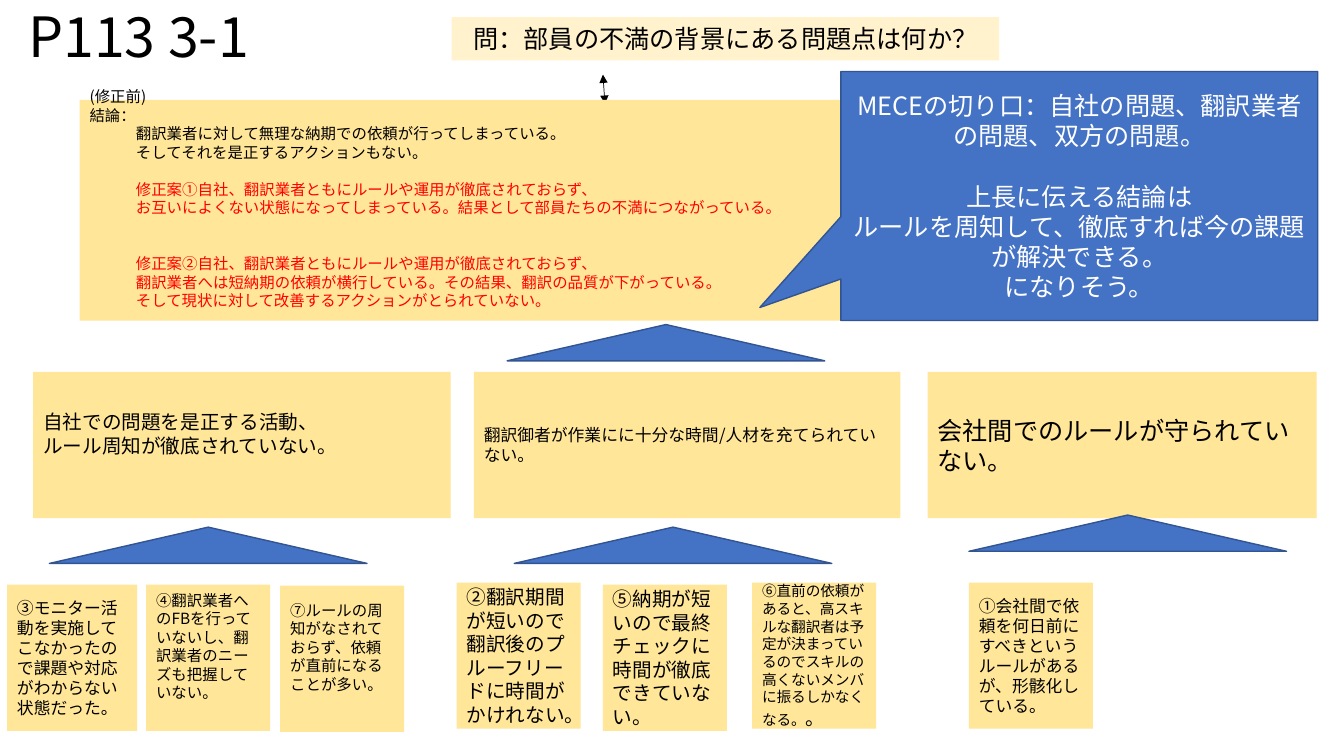
from dataclasses import dataclass

from lxml import etree
from pptx import Presentation
from pptx import util as u
from pptx.dml import color
from pptx.enum import shapes, text
from pptx.oxml import ns


@dataclass(frozen=True)
class Theme:
    font: str = "Noto Sans CJK JP"
    ink: str = "000000"
    white: str = "FFFFFF"
    alert: str = "FF0000"
    question: str = "FFF2CC"
    box: str = "FFE699"
    accent: str = "4472C4"
    outline: str = "325491"
    title: float = 39.6
    large: float = 18
    medium: float = 14
    body: float = 12
    small: float = 11
    tiny: float = 10.5


@dataclass(frozen=True)
class Run:
    text: str
    size: float
    color: str = Theme.ink


@dataclass(frozen=True)
class Line:
    runs: tuple
    indent: float = 0
    gap: float = 0


def line(words, size, ink=Theme.ink, indent=0, gap=0):
    return Line((Run(words, size, ink),), indent, gap)


class SlideBuilder:
    def __init__(self, slide, theme):
        self.slide = slide
        self.theme = theme

    def fill_text(self, frame, lines, align=text.PP_ALIGN.LEFT, bottom=0.05):
        frame.word_wrap = True
        frame.auto_size = text.MSO_AUTO_SIZE.NONE
        frame.vertical_anchor = text.MSO_ANCHOR.MIDDLE
        frame.margin_left = frame.margin_right = u.Inches(0.1)
        frame.margin_top, frame.margin_bottom = u.Inches(0.05), u.Inches(bottom)
        for index, item in enumerate(lines):
            paragraph = frame.add_paragraph() if index else frame.paragraphs[0]
            paragraph.alignment = align
            paragraph.space_before = u.Pt(item.gap)
            properties = paragraph._p.get_or_add_pPr()
            properties.set("marL", str(u.Inches(item.indent)))
            properties.set("indent", "0")
            properties.set("hangingPunct", "1")
            for part in item.runs:
                run = paragraph.add_run()
                run.text = part.text
                run.font.size = u.Pt(part.size)
                run.font.color.rgb = color.RGBColor.from_string(part.color)
                run.font.name = self.theme.font
                east_asian = etree.SubElement(run._r.get_or_add_rPr(), ns.qn("a:ea"))
                east_asian.set("typeface", self.theme.font)

    def title(self, area, words):
        shape = self.slide.shapes.title
        shape.left, shape.top, shape.width, shape.height = map(u.Inches, area)
        self.fill_text(shape.text_frame, [line(words, self.theme.title)])
        shape.text_frame.paragraphs[0].line_spacing = 0.9

    def shape(self, kind, area, fill, outline=None):
        shape = self.slide.shapes.add_shape(kind, *map(u.Inches, area))
        shape.shadow.inherit = False
        shape.fill.solid()
        shape.fill.fore_color.rgb = color.RGBColor.from_string(fill)
        if outline:
            shape.line.color.rgb = color.RGBColor.from_string(outline)
            shape.line.width = u.Pt(1)
        else:
            shape.line.fill.background()
        return shape

    def box(self, area, lines, fill=Theme.box, **layout):
        shape = self.shape(shapes.MSO_SHAPE.RECTANGLE, area, fill)
        self.fill_text(shape.text_frame, lines, **layout)

    def callout(self, area, tip, lines):
        shape = self.shape(shapes.MSO_SHAPE.RECTANGULAR_CALLOUT, area,
                           self.theme.accent, self.theme.outline)
        for index, value in enumerate(tip):
            shape.adjustments[index] = value
        self.fill_text(shape.text_frame, lines, align=text.PP_ALIGN.CENTER)

    def triangle(self, left, top):
        self.shape(shapes.MSO_SHAPE.ISOSCELES_TRIANGLE, (left, top, 3.15, 0.36),
                   self.theme.accent, self.theme.outline)

    def double_arrow(self, *ends):
        connector = self.slide.shapes.add_connector(
            shapes.MSO_CONNECTOR.STRAIGHT, *map(u.Inches, ends))
        connector.line.color.rgb = color.RGBColor.from_string(self.theme.ink)
        connector.line.width = u.Pt(0.5)
        stroke = connector.line._get_or_add_ln()
        for end in ("a:headEnd", "a:tailEnd"):
            etree.SubElement(stroke, ns.qn(end)).set("type", "triangle")
        etree.SubElement(connector._element.spPr, ns.qn("a:effectLst"))


presentation = Presentation()
presentation.slide_width, presentation.slide_height = u.Inches(13.33), u.Inches(7.5)
theme = Theme()
layout = presentation.slide_layouts.get_by_name("Title Only")
builder = SlideBuilder(presentation.slides.add_slide(layout), theme)

RAISED = 0.28
INDENT = 0.46
BLANK_SMALL = 13.3
BLANK_LARGE = 21.7

builder.title((0.18, 0.02, 3.46, 0.75), "P113 3-1")
builder.box((4.48, 0.17, 5.43, 0.43),
            [line("問：部員の不満の背景にある問題点は何か？", theme.large)],
            fill=theme.question, align=text.PP_ALIGN.CENTER)
builder.double_arrow(5.98, 0.74, 6, 1.03)

conclusion = [line(words, theme.small) for words in ("(修正前)", "結論：")]
for ink, blanks, sentences in (
    (theme.ink, 0, ("翻訳業者に対して無理な納期での依頼が行ってしまっている。",
                    "そしてそれを是正するアクションもない。")),
    (theme.alert, 1, ("修正案①自社、翻訳業者ともにルールや運用が徹底されておらず、",
                      "お互いによくない状態になってしまっている。結果として部員たちの不満につながっている。")),
    (theme.alert, 2, ("修正案②自社、翻訳業者ともにルールや運用が徹底されておらず、",
                      "翻訳業者へは短納期の依頼が横行している。その結果、翻訳の品質が下がっている。",
                      "そして現状に対して改善するアクションがとられていない。")),
):
    for index, sentence in enumerate(sentences):
        gap = 0 if index else blanks * BLANK_SMALL
        conclusion.append(line(sentence, theme.small, ink, INDENT, gap))
builder.box((0.79, 0.99, 11.47, 2.19), conclusion, bottom=RAISED)

builder.callout((8.34, 0.71, 4.73, 2.47), (-0.67, 0.448), [
    line("MECEの切り口：自社の問題、翻訳業者の問題、双方の問題。", theme.large, theme.white),
    line("上長に伝える結論は", theme.large, theme.white, gap=BLANK_LARGE),
    line("ルールを周知して、徹底すれば今の課題が解決できる。", theme.large, theme.white),
    line("になりそう。", theme.large, theme.white),
])

for left, width, size, bottom, sentences in (
    (0.33, 4.14, theme.medium, RAISED,
     ("自社での問題を是正する活動、", "ルール周知が徹底されていない。")),
    (4.7, 4.23, theme.body, 0.05,
     ("翻訳御者が作業にに十分な時間/人材を充てられていない。",)),
    (9.2, 3.86, theme.large, 0.05, ("会社間でのルールが守られていない。",)),
):
    builder.box((left, 3.69, width, 1.45),
                [line(sentence, size) for sentence in sentences], bottom=bottom)

for left, top in ((5.03, 3.22), (0.49, 5.23), (5.1, 5.23), (9.61, 5.11)):
    builder.triangle(left, top)

for left, top, width, size, bottom, cause in (
    (0.07, 5.8, 1.29, theme.body, 0.05,
     "③モニター活動を実施してこなかったので課題や対応がわからない状態だった。"),
    (1.45, 5.8, 1.23, theme.small, RAISED,
     "④翻訳業者へのFBを行っていないし、翻訳業者のニーズも把握していない。"),
    (2.78, 5.81, 1.23, theme.small, RAISED,
     "⑦ルールの周知がなされておらず、依頼が直前になることが多い。"),
    (4.53, 5.78, 1.23, theme.medium, 0.05,
     "②翻訳期間が短いので翻訳後のプルーフリードに時間がかけれない。"),
    (5.98, 5.8, 1.23, theme.medium, 0.05,
     "⑤納期が短いので最終チェックに時間が徹底できていない。"),
    (9.61, 5.78, 1.23, theme.body, 0.05,
     "①会社間で依頼を何日前にすべきというルールがあるが、形骸化している。"),
):
    builder.box((left, top, width, 1.45), [line(cause, size)], bottom=bottom)

builder.box((7.46, 5.78, 1.23, 1.45), [Line((
    Run("⑥直前の依頼があると、高スキルな翻訳者は予定が決まっているので"
        "スキルの高くないメンバに振るしかなくなる。", theme.tiny),
    Run("。", theme.medium),
))])

presentation.save("out.pptx")
